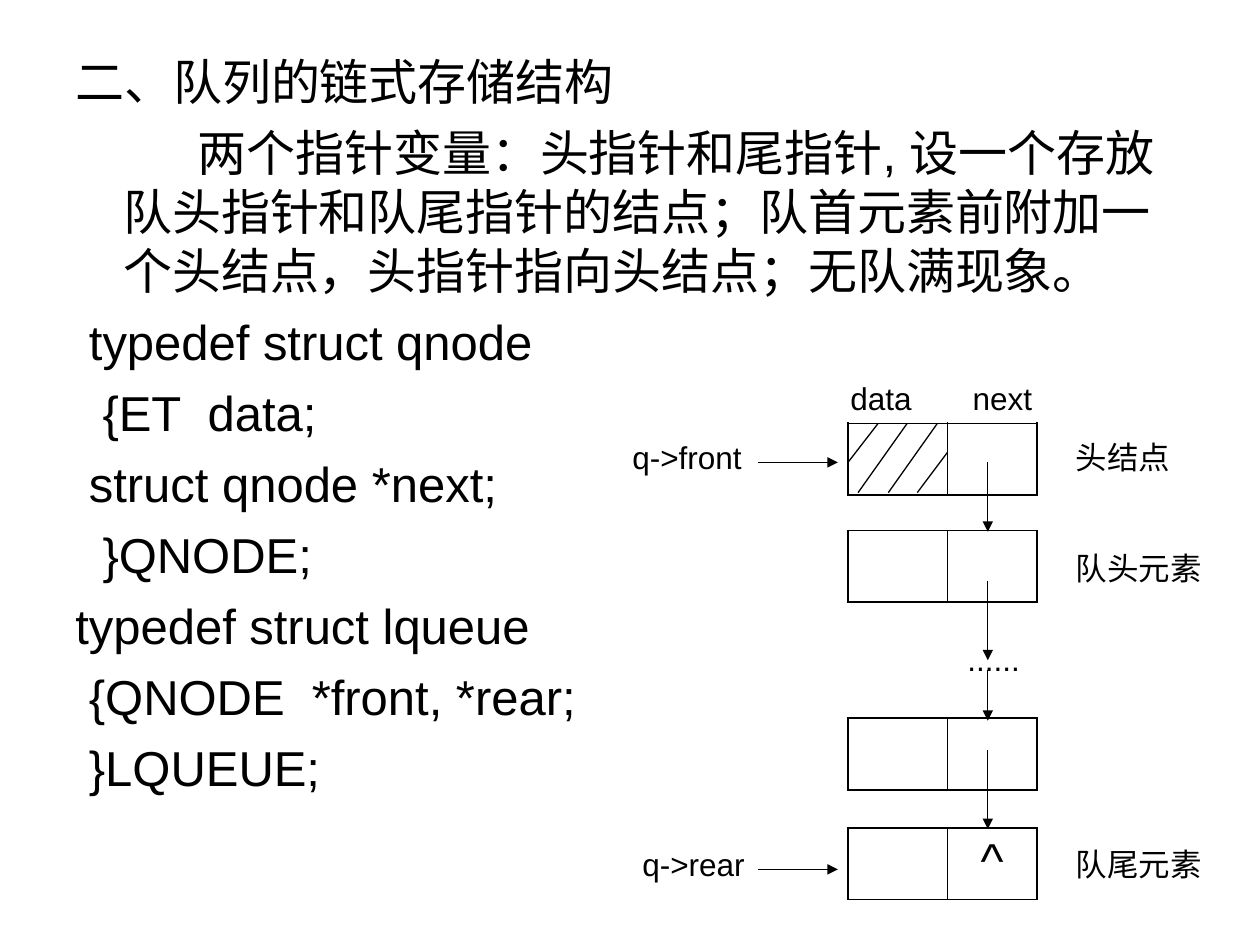
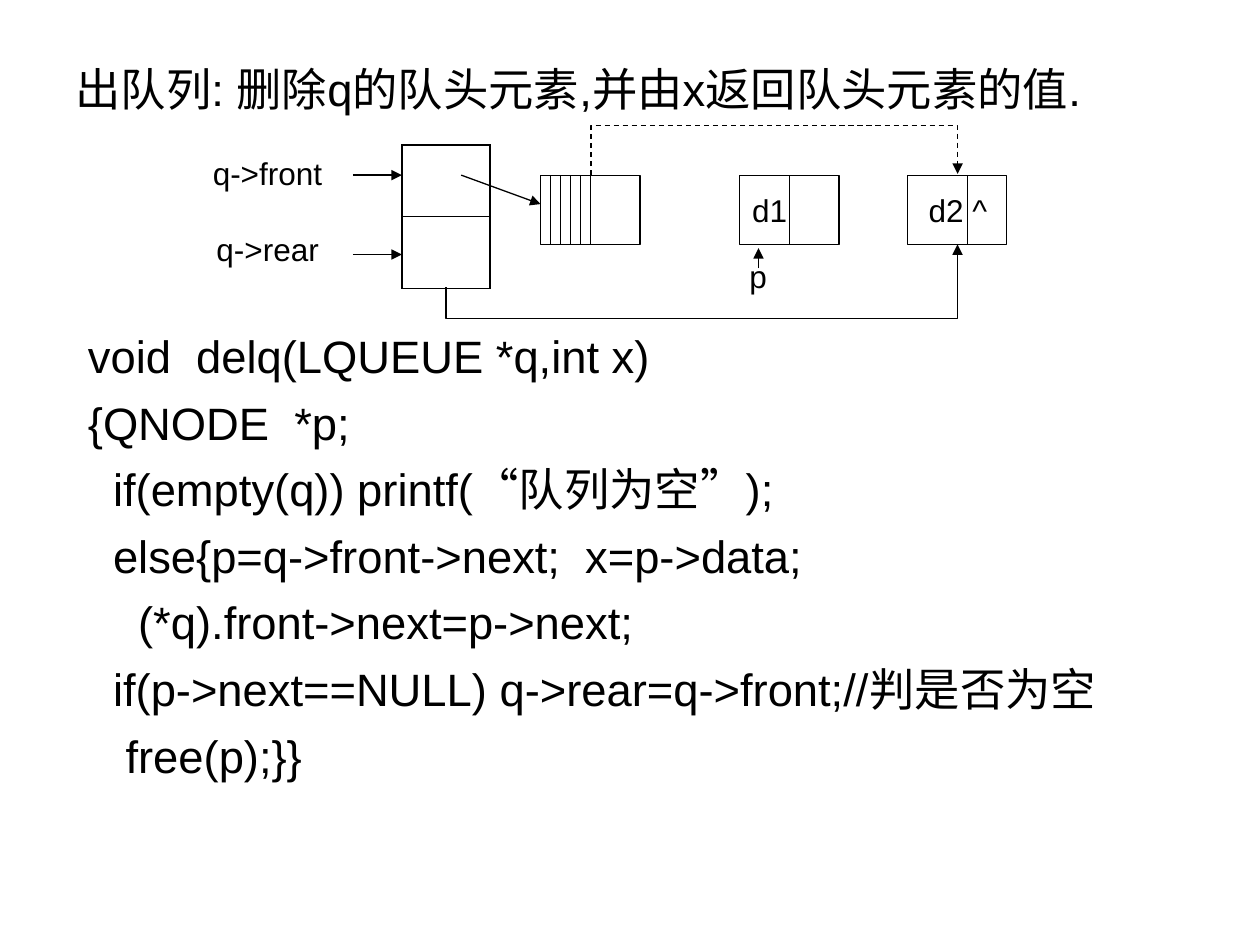
import lxml.etree
import pptx
import pptx.dml.color
import pptx.enum.dml
import pptx.enum.shapes
import pptx.enum.text
import pptx.oxml.ns
import pptx.util

INK = pptx.dml.color.RGBColor.from_string("000000")
FONT = "Arial"
LABEL_SIZE = 18
PARAGRAPH_GAP = 7
THIN, MEDIUM, THICK = 0.45, 0.75, 1.08
qn = pptx.oxml.ns.qn
Pt = pptx.util.Pt
connector_types = pptx.enum.shapes.MSO_CONNECTOR


def style_text(paragraph, text, size):
    paragraph.text = text
    paragraph.font.name = FONT
    paragraph.font.size = Pt(size)
    paragraph.font.color.rgb = INK


def style_line(shape, arrow=False, dashed=False):
    shape.line.color.rgb = INK
    shape.line.width = Pt(MEDIUM)
    if dashed:
        shape.line.dash_style = pptx.enum.dml.MSO_LINE.DASH
    properties = shape._element.spPr
    if arrow:
        lxml.etree.SubElement(properties.find(qn("a:ln")), qn("a:tailEnd"), type="triangle")
    lxml.etree.SubElement(properties, qn("a:effectLst"))


presentation = pptx.Presentation()
presentation.slide_width = pptx.util.Inches(10)
presentation.slide_height = pptx.util.Inches(7.5)
# Grid of 100 columns by 75 rows
column = presentation.slide_width // 100
row = presentation.slide_height // 75
blank = presentation.slide_layouts[6]
structure, removal = [presentation.slides.add_slide(blank) for _ in range(2)]

# Body texts: slide, top row, height, font size, paragraphs
bodies = [
    (structure, 3.6, 63.4, 28, [
        "二、队列的链式存储结构",
        "两个指针变量：头指针和尾指针, 设一个存放队头指针和队尾指针的结点；"
        "队首元素前附加一个头结点，头指针指向头结点；无队满现象。",
        " typedef struct qnode",
        "  {ET  data;",
        " struct qnode *next;",
        "  }QNODE;",
        "typedef struct lqueue",
        " {QNODE  *front, *rear;",
        " }LQUEUE;",
    ]),
    (removal, 4.4, 62.6, 25.9, [
        "出队列: 删除q的队头元素,并由x返回队头元素的值.",
        " void  delq(LQUEUE *q,int x)",
        " {QNODE  *p;",
        "   if(empty(q)) printf(“队列为空”);",
        "   else{p=q->front->next;  x=p->data;",
        "     (*q).front->next=p->next;",
        "   if(p->next==NULL) q->rear=q->front;//判是否为空",
        "    free(p);}}",
    ]),
]
for slide, top, height, size, lines in bodies:
    frame = slide.shapes.add_textbox(
        5 * column, round(top * row), 90 * column, round(height * row)).text_frame
    frame.word_wrap = True
    for number, text in enumerate(lines):
        paragraph = frame.paragraphs[0] if number == 0 else frame.add_paragraph()
        style_text(paragraph, text, size)
        paragraph.line_spacing = Pt(1.2 * size)
        paragraph.space_before = Pt(PARAGRAPH_GAP if number else 0)

# Indented first line of the introduction
introduction = structure.shapes[0].text_frame.paragraphs[1]._p.get_or_add_pPr()
introduction.set("marL", str(round(3.8 * column)))
introduction.set("indent", str(round(5.9 * column)))

# Room for the diagram: three line pitches above the code
code_start = removal.shapes[0].text_frame.paragraphs[1]
code_start.space_before = Pt(PARAGRAPH_GAP + 3 * (1.2 * 25.9 + PARAGRAPH_GAP))

# Node boxes: slide, left, top, column widths, row heights, text of the last cell
node_tops = [33.6, 42.1, 57, 65.7]
nodes = [(structure, 67.3, top, [7.9, 7.1], [5.7], "^" if top == node_tops[-1] else "")
         for top in node_tops]
nodes.append((removal, 31.9, 11.5, [7], [5.7, 5.7], ""))
for slide, left, top, widths, heights, text in nodes:
    table = slide.shapes.add_table(
        len(heights), len(widths), round(left * column), round(top * row),
        round(sum(widths) * column), round(sum(heights) * row)).table
    table.first_row = table.horz_banding = False
    for index, width in enumerate(widths):
        table.columns[index].width = round(width * column)
    for index, height in enumerate(heights):
        table.rows[index].height = round(height * row)
    for r in range(len(heights)):
        for c in range(len(widths)):
            cell = table.cell(r, c)
            cell.fill.background()
            outer_edges = {"L": c == 0, "R": c == len(widths) - 1,
                           "T": r == 0, "B": r == len(heights) - 1}
            for position, (edge, outer) in enumerate(outer_edges.items()):
                border = lxml.etree.Element(
                    qn("a:ln" + edge), w=str(Pt(THICK if outer else THIN)))
                fill = lxml.etree.SubElement(border, qn("a:solidFill"))
                lxml.etree.SubElement(fill, qn("a:srgbClr"), val=str(INK))
                cell._tc.get_or_add_tcPr().insert(position, border)
    if text:
        paragraph = cell.text_frame.paragraphs[0]
        style_text(paragraph, text, 28)
        paragraph.alignment = pptx.enum.text.PP_ALIGN.CENTER

# Element boxes: left, text, left margin, divided in the middle
for left, text, margin, divided in [
        (42.9, "", 1, True), (58.7, "d1", 1, True), (72, "d2 ^", 1.7, False)]:
    box = removal.shapes.add_shape(
        pptx.enum.shapes.MSO_SHAPE.RECTANGLE, round(left * column), round(13.9 * row),
        round(7.9 * column), round(5.5 * row))
    box.fill.background()
    style_line(box)
    if text:
        frame = box.text_frame
        frame.margin_left = round(margin * column)
        frame.margin_right = 0
        frame.vertical_anchor = pptx.enum.text.MSO_ANCHOR.MIDDLE
        style_text(frame.paragraphs[0], text, LABEL_SIZE)
        frame.paragraphs[0].alignment = pptx.enum.text.PP_ALIGN.LEFT
    if divided:
        divider = removal.shapes.add_connector(connector_types.STRAIGHT, 0, 0, 0, 0)
        divider.begin_connect(box, 0)
        divider.end_connect(box, 2)
        style_line(divider)

# Straight lines: slide, start, end
arrows = [
    (structure, (60.2, 36.7), (66.5, 36.7)),
    (structure, (60.2, 69), (66.5, 69)),
    (structure, (78.4, 36.7), (78.4, 42.2)),
    (structure, (78.4, 46.1), (78.4, 52.4)),
    (structure, (78.4, 53.2), (78.4, 57.2)),
    (structure, (78.4, 59.5), (78.4, 65.8)),
    (removal, (36.6, 13.9), (42.9, 16.2)),
    (removal, (28, 13.9), (31.9, 13.9)),
    (removal, (28, 20.2), (31.9, 20.2)),
    (removal, (60.2, 21.3), (60.2, 19.7)),
]
hatching = [
    (structure, (69.7, 33.6), (67.3, 36.7)),
    (structure, (72, 33.6), (68.1, 39.1)),
    (structure, (74.4, 33.6), (70.5, 39.1)),
    (structure, (75.2, 35.9), (72.8, 39.1)),
]
uprights = [(removal, (x, 13.9), (x, 19.4))
            for x in [42.9 + 0.8 * step for step in range(1, 5)] + [76.8]]
for group, arrow in [(arrows, True), (hatching, False), (uprights, False)]:
    for slide, (x1, y1), (x2, y2) in group:
        line = slide.shapes.add_connector(
            connector_types.STRAIGHT, round(x1 * column), round(y1 * row),
            round(x2 * column), round(y2 * row))
        style_line(line, arrow)

# Bent arrows, turned a quarter: left, top, width, height, bend, dashed
for left, top, width, height, bend, dashed in [
        (54, 0.8, 3.4, 40.6, -0.73, False), (61.4, -0.7, 0.1, 29.1, 40, True)]:
    elbow = removal.shapes.add_connector(
        connector_types.ELBOW, round(left * column), round(top * row),
        round((left + width) * column), round((top + height) * row))
    style_line(elbow, True, dashed)
    transform = elbow._element.spPr.find(qn("a:xfrm"))
    for name, value in [("rot", "5400000"), ("flipH", "1"), ("flipV", "1")]:
        transform.set(name, value)
    geometry = elbow._element.spPr.find(qn("a:prstGeom"))
    adjustments = geometry.find(qn("a:avLst"))
    if adjustments is None:
        adjustments = lxml.etree.SubElement(geometry, qn("a:avLst"))
    lxml.etree.SubElement(adjustments, qn("a:gd"), name="adj1",
                          fmla=f"val {round(bend * 100000)}")

# Labels: slide, left, top, width, text
for slide, left, top, width, text in [
        (structure, 66.5, 29.6, 7.2, "data"),
        (structure, 76.2, 29.6, 7.2, "next"),
        (structure, 49.2, 34.3, 10.9, "q->front"),
        (structure, 50, 66.6, 10.4, "q->rear"),
        (structure, 84.4, 34.3, 9.8, "头结点"),
        (structure, 84.4, 43.1, 12.2, "队头元素"),
        (structure, 84.4, 66.6, 12.2, "队尾元素"),
        (structure, 75.8, 50.3, 6.6, "......"),
        (removal, 15.9, 11.7, 10.9, "q->front"),
        (removal, 16.2, 17.8, 10.4, "q->rear"),
        (removal, 58.5, 19.9, 3.6, "p")]:
    frame = slide.shapes.add_textbox(
        round(left * column), round(top * row), round(width * column), 4 * row).text_frame
    frame.word_wrap = False
    style_text(frame.paragraphs[0], text, LABEL_SIZE)

presentation.save("out.pptx")
